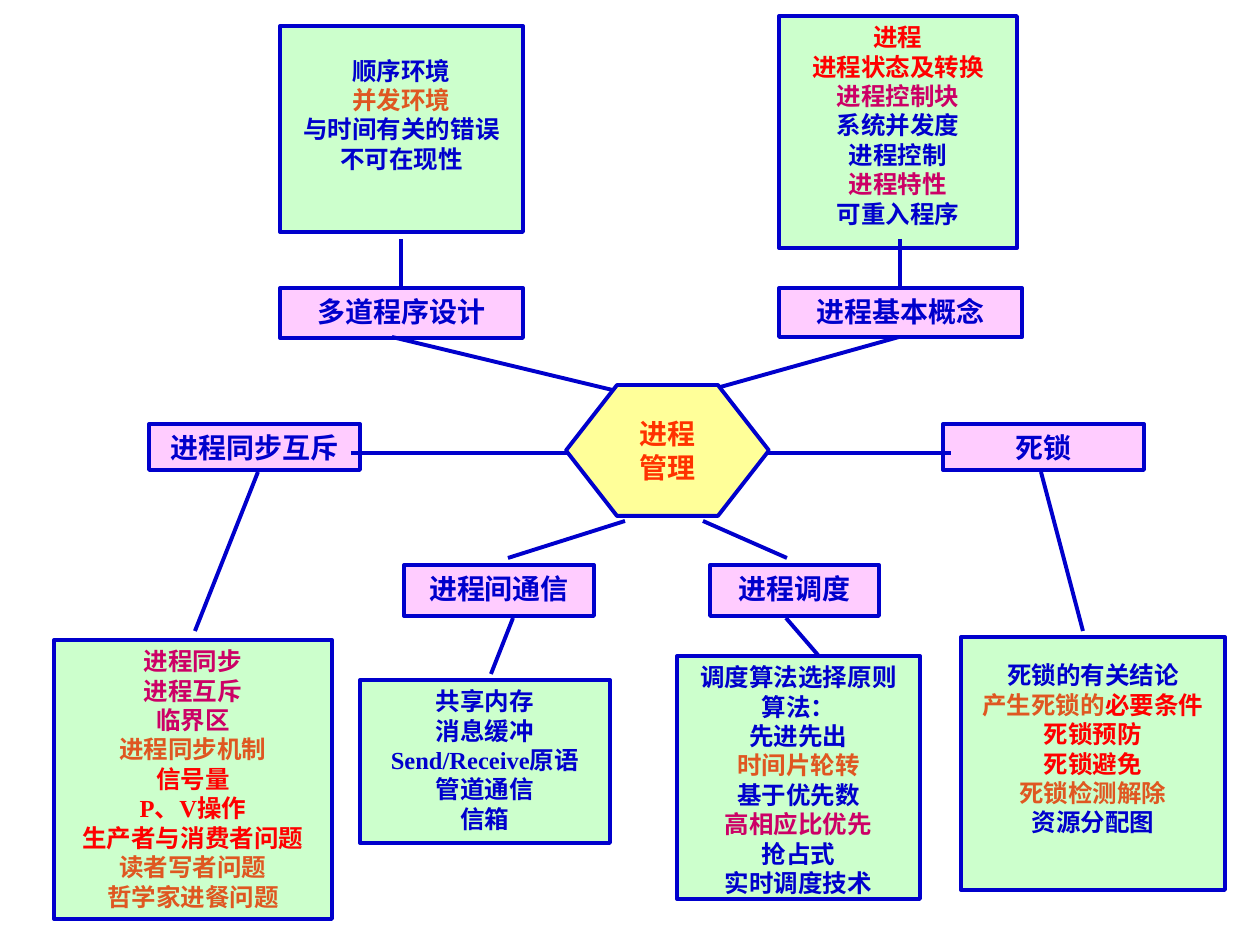
"""Build a concept map slide about process management."""
from lxml.etree import SubElement
from pptx import Presentation
from pptx.dml.color import RGBColor
from pptx.enum.shapes import MSO_CONNECTOR, MSO_SHAPE
from pptx.enum.text import MSO_ANCHOR, PP_ALIGN
from pptx.oxml.ns import qn
from pptx.util import Pt

SCALE = 914400 / 126
LINE_WIDTH = Pt(2.24)
COLORS = {
    "blue": "0000CC", "red": "FF0000", "magenta": "CC0066", "orange": "DF5721",
    "core": "FF3300", "green fill": "CCFFCC", "pink fill": "FFCCFF", "yellow fill": "FFFF99",
}


def px(value):
    return round(value * SCALE)


def add_node(place, lines, preset=MSO_SHAPE.RECTANGLE, fill="green fill", size=14,
             font="Times New Roman", anchor=MSO_ANCHOR.TOP, wrap=True, pad_top=0, pad_bottom=0):
    node = slide.shapes.add_shape(preset, *map(px, place))
    node.shadow.inherit = False
    node.fill.solid()
    node.fill.fore_color.rgb = RGBColor.from_string(COLORS[fill])
    node.line.color.rgb = RGBColor.from_string(COLORS["blue"])
    node.line.width = LINE_WIDTH
    frame = node.text_frame
    frame.word_wrap = wrap
    frame.vertical_anchor = anchor
    frame.margin_top += px(pad_top)
    frame.margin_bottom += px(pad_bottom)
    for index, runs in enumerate(lines):
        paragraph = frame.add_paragraph() if index else frame.paragraphs[0]
        paragraph.alignment = PP_ALIGN.CENTER
        for color, text in runs:
            run = paragraph.add_run()
            run.text = text
            run.font.size = Pt(size)
            run.font.name = font
            run.font.bold = True
            run.font.color.rgb = RGBColor.from_string(COLORS[color])
    return node


prs = Presentation()
prs.slide_width, prs.slide_height = px(1260), px(945)
slide = prs.slides.add_slide(prs.slide_layouts[6])

details = [
    ((779, 16, 238, 232), [
        [("red", "进程")], [("red", "进程状态及转换")], [("magenta", "进程控制块")],
        [("blue", "系统并发度")], [("blue", "进程控制")], [("magenta", "进程特性")],
        [("blue", "可重入程序")]], {}),
    ((360, 680, 250, 163), [
        [("blue", "共享内存")], [("blue", "消息缓冲")], [("blue", "Send/Receive原语")],
        [("blue", "管道通信")], [("blue", "信箱")]], {}),
    ((677, 656, 243, 243), [
        [("blue", "调度算法选择原则")], [("blue", "算法：")], [("blue", "先进先出")],
        [("orange", "时间片轮转")], [("blue", "基于优先数")], [("magenta", "高相应比优先")],
        [("blue", "抢占式")], [("blue", "实时调度技术")]], {}),
    ((54, 640, 278, 279), [
        [("magenta", "进程同步")], [("magenta", "进程互斥")], [("magenta", "临界区")],
        [("orange", "进程同步机制")], [("red", "信号量")], [("red", "P、V操作")],
        [("red", "生产者与消费者问题")], [("orange", "读者写者问题")],
        [("orange", "哲学家进餐问题")]], {}),
    ((961, 637, 264, 253), [
        [("blue", "死锁的有关结论")], [("orange", "产生死锁的"), ("red", "必要条件")],
        [("red", "死锁预防")], [("red", "死锁避免")], [("orange", "死锁检测解除")],
        [("blue", "资源分配图")]], {"pad_top": 17}),
    ((280, 26, 243, 206), [
        [("blue", "顺序环境")], [("orange", "并发环境")], [("blue", "与时间有关的错误")],
        [("blue", "不可在现性")]],
        {"font": "Arial", "anchor": MSO_ANCHOR.MIDDLE, "wrap": False, "pad_bottom": 29}),
]
for place, lines, options in details:
    add_node(place, lines, **options)

topics = [
    ("多道程序设计", (280, 288, 243, 50)),
    ("进程基本概念", (779, 288, 243, 49)),
    ("进程同步互斥", (149, 424, 211, 46)),
    ("进程间通信", (404, 565, 190, 51)),
    ("进程调度", (710, 565, 169, 51)),
    ("死锁", (943, 424, 201, 46)),
]
for topic, place in topics:
    add_node(place, [[("blue", topic)]], fill="pink fill", size=16)

links = [
    (392, 337, 625, 393), (899, 337, 699, 393), (508, 558, 625, 521),
    (787, 558, 703, 521), (582, 453, 351, 453), (740, 453, 951, 453),
    (401, 239, 401, 287), (786, 618, 818, 655), (258, 472, 195, 631),
    (513, 618, 491, 674), (1041, 472, 1083, 631), (900, 239, 900, 287),
]
for ends in links:
    link = slide.shapes.add_connector(MSO_CONNECTOR.STRAIGHT, *map(px, ends))
    link.line.color.rgb = RGBColor.from_string(COLORS["blue"])
    link.line.width = LINE_WIDTH
    SubElement(link._element.spPr, qn("a:effectLst"))

core = add_node((566, 385, 203, 131), [[("core", "进程")], [("core", "管理")]],
                preset=MSO_SHAPE.HEXAGON, fill="yellow fill", size=16, font="Arial",
                anchor=MSO_ANCHOR.MIDDLE, wrap=False)
core.adjustments[0] = 0.39

prs.save("out.pptx")
